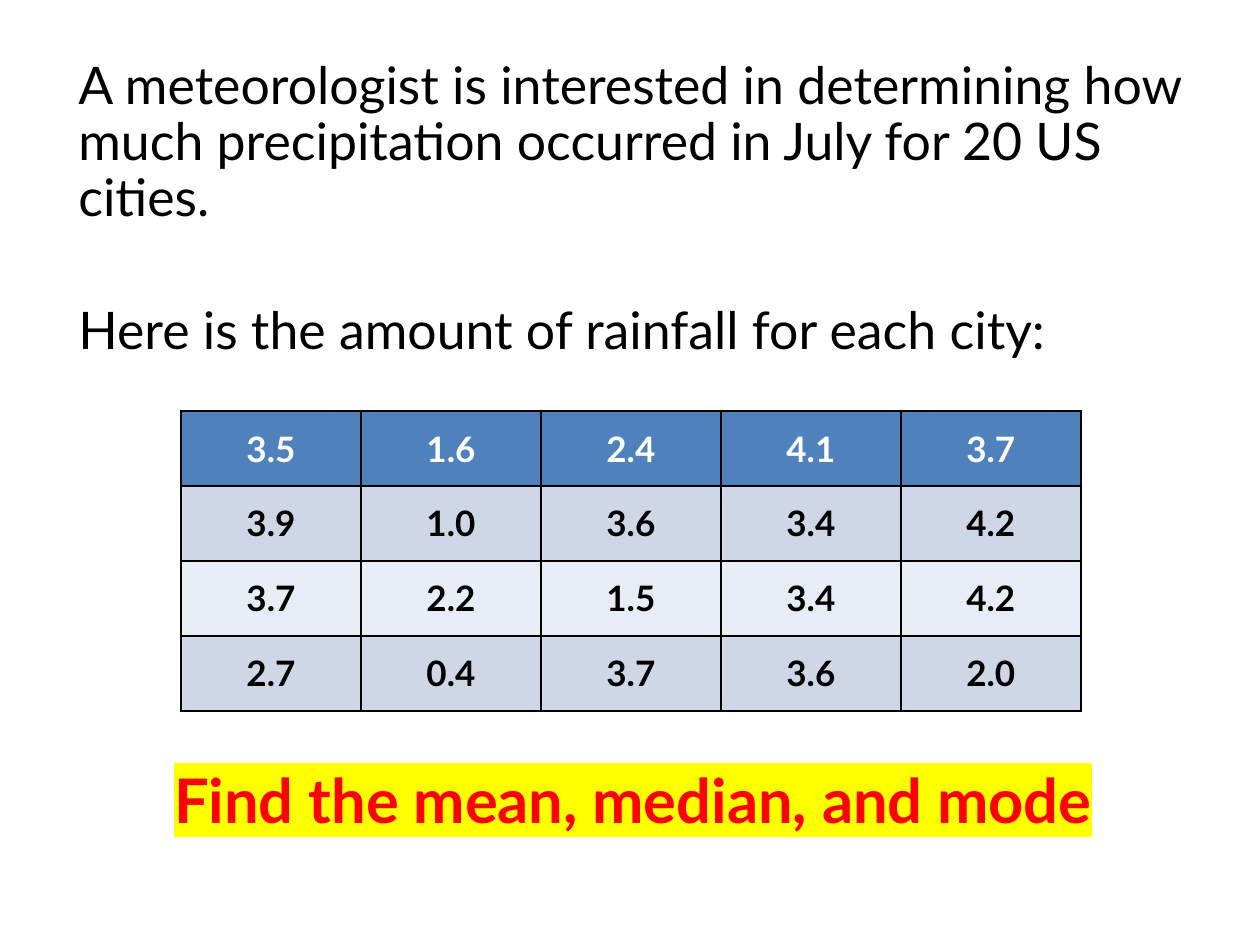
from typing import NamedTuple, Optional

from lxml import etree
from pptx import Presentation
from pptx import util as u
from pptx.dml.color import RGBColor
from pptx.enum import text
from pptx.oxml.ns import qn

PX = u.Inches(1) / 126
FONT = "Lato"
BLACK = RGBColor(0x00, 0x00, 0x00)
WHITE = RGBColor(0xFF, 0xFF, 0xFF)
RED = RGBColor(0xFF, 0x00, 0x00)
YELLOW = RGBColor(0xFF, 0xFF, 0x00)
HEADER = RGBColor(0x4F, 0x81, 0xBD)
BAND_DARK = RGBColor(0xCF, 0xD7, 0xE7)
BAND_LIGHT = RGBColor(0xE8, 0xEC, 0xF4)


class Style(NamedTuple):
    size: float
    color: RGBColor = BLACK
    bold: bool = False
    highlight: Optional[RGBColor] = None


class Para(NamedTuple):
    words: str
    style: Style
    before: float = 0
    align: text.PP_ALIGN = text.PP_ALIGN.LEFT


BODY = Style(29.6)
TASK = Style(35.1, RED, True, YELLOW)
PARAS = [
    Para("A meteorologist is interested in determining how much precipitation "
         "occurred in July for 20 US cities.", BODY),
    Para("Here is the amount of rainfall for each city:", BODY, 43.8),
    Para("Find the mean, median, and mode", TASK, 234.4, text.PP_ALIGN.CENTER),
]
RAINFALL = [
    ["3.5", "1.6", "2.4", "4.1", "3.7"],
    ["3.9", "1.0", "3.6", "3.4", "4.2"],
    ["3.7", "2.2", "1.5", "3.4", "4.2"],
    ["2.7", "0.4", "3.7", "3.6", "2.0"],
]


def px(n: int) -> u.Emu:
    return u.Emu(round(n * PX))


def add_solid(parent, tag: str, color: RGBColor) -> None:
    el = etree.SubElement(parent, qn(tag))
    etree.SubElement(el, qn("a:srgbClr"), val=str(color))


def add_run(p, words: str, style: Style) -> None:
    r = p.add_run()
    r.text = words
    r.font.size = u.Pt(style.size)
    r.font.bold = style.bold
    r.font.color.rgb = style.color
    if style.highlight is not None:
        add_solid(r.font._element, "a:highlight", style.highlight)
    r.font.name = FONT


def add_body(s, paras: list[Para]) -> None:
    tf = s.shapes.add_textbox(px(66), px(54), px(1134), px(834)).text_frame
    tf.word_wrap = True
    for i, para in enumerate(paras):
        p = tf.add_paragraph() if i else tf.paragraphs[0]
        p.alignment = para.align
        p.line_spacing = 0.9
        if para.before:
            p.space_before = u.Pt(para.before)
        add_run(p, para.words, para.style)


def add_borders(cell) -> None:
    tc_pr = cell._tc.get_or_add_tcPr()
    for side in "LRTB":
        ln = etree.SubElement(tc_pr, qn(f"a:ln{side}"), w=str(u.Pt(1)))
        add_solid(ln, "a:solidFill", BLACK)


def add_rainfall(s, rows: list[list[str]], col_w: int, row_h: int) -> None:
    n = len(rows[0])
    table = s.shapes.add_table(len(rows), n, px(181), px(411),
                               px(n * col_w), px(len(rows) * row_h)).table
    for i, row in enumerate(rows):
        fill = HEADER if i == 0 else BAND_DARK if i % 2 else BAND_LIGHT
        style = Style(20, BLACK if i else WHITE, True)
        for j, value in enumerate(row):
            cell = table.cell(i, j)
            add_borders(cell)
            cell.fill.solid()
            cell.fill.fore_color.rgb = fill
            cell.vertical_anchor = text.MSO_ANCHOR.MIDDLE
            p = cell.text_frame.paragraphs[0]
            p.alignment = text.PP_ALIGN.CENTER
            add_run(p, value, style)


def main() -> None:
    prs = Presentation()
    prs.slide_width, prs.slide_height = px(1260), px(945)
    s = prs.slides.add_slide(prs.slide_layouts[6])
    add_rainfall(s, RAINFALL, 180, 75)
    add_body(s, PARAS)
    prs.save("out.pptx")


if __name__ == "__main__":
    main()
